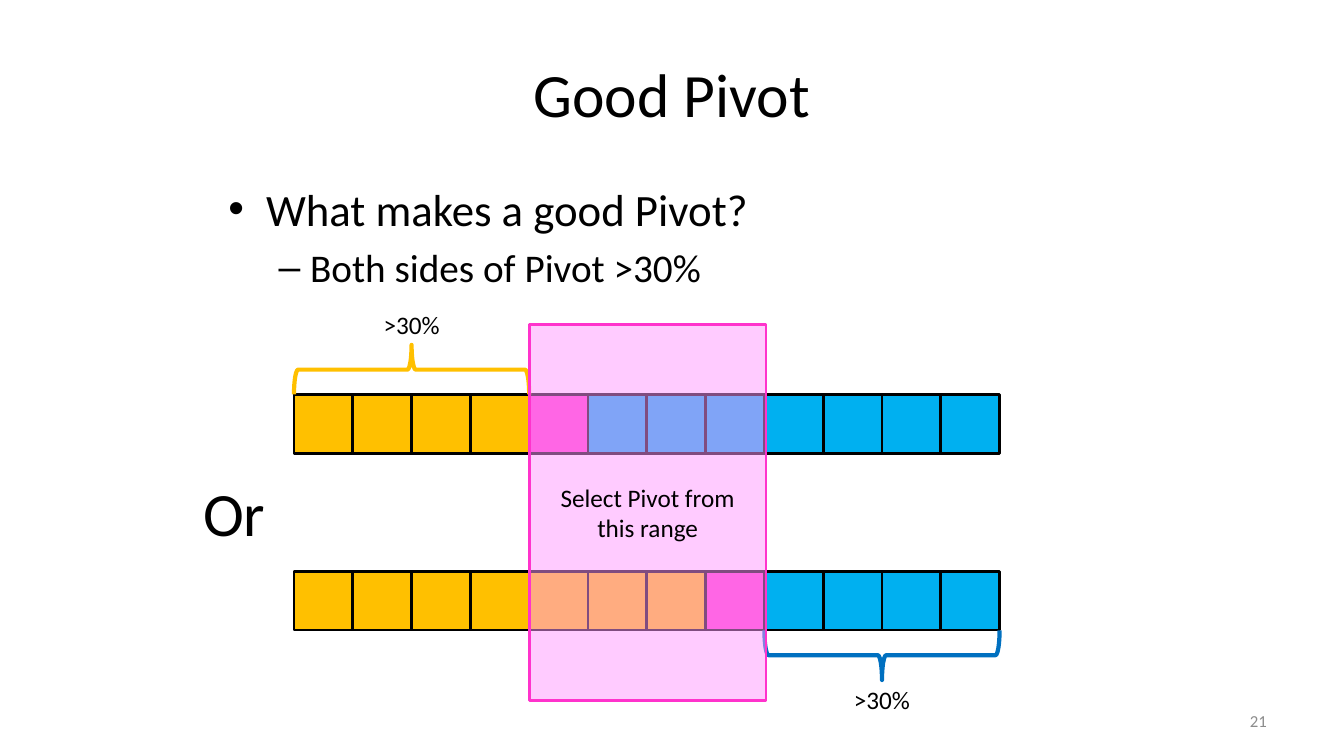
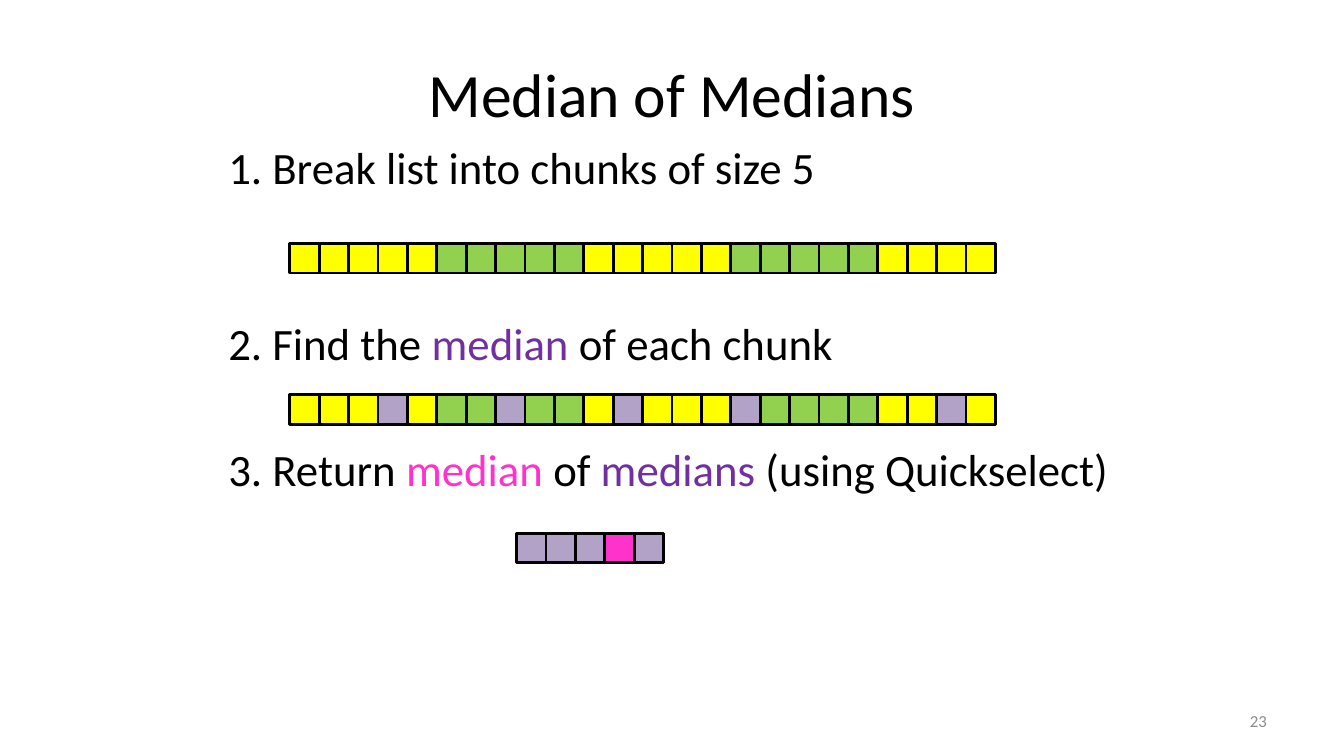
import pptx
import pptx.dml.color
import pptx.enum.shapes
import pptx.enum.text
import pptx.oxml
import pptx.oxml.ns
import pptx.util

SHAPE = pptx.enum.shapes.MSO_SHAPE
ALIGN = pptx.enum.text.PP_ALIGN
ANCHOR = pptx.enum.text.MSO_ANCHOR
COLUMNS, ROWS = 160, 90
UNIT = pptx.util.Inches(1) / 12

COLORS = {
    "black": "000000",
    "gray": "8C8C8C",
    "orange": "FFC000",
    "sky": "00B0F0",
    "blue": "0070C0",
    "pink": "FF33CC",
    "pale pink": "FF99FF",
    "yellow": "FFFF00",
    "green": "92D050",
    "lavender": "B3A2C7",
    "purple": "7030A0",
}


def grid(*lengths):
    return [round(length * UNIT) for length in lengths]


def rgb(name):
    return pptx.dml.color.RGBColor.from_string(COLORS[name])


def apply(target, formats):
    for name, value in formats.items():
        setattr(target, name, value)


class Lecture:
    """Holds the deck, its style and the current slide; lengths are grid units."""

    font_name = "Calibri"
    sizes = {"title": 44, "body": 32, "detail": 28, "label": 18, "footer": 12}
    outline = 2

    def __init__(self):
        self.deck = pptx.Presentation()
        width, height = grid(COLUMNS, ROWS)
        apply(self.deck, {"slide_width": width, "slide_height": height})

    def page(self, title, number):
        self.slide = self.deck.slides.add_slide(self.deck.slide_layouts[6])
        self.text((8, 3.6, 144, 15), title, "title", ALIGN.CENTER, ANCHOR.MIDDLE)
        self.text((114.7, 83.4, 37.3, 4.8), str(number), "footer",
                  ALIGN.RIGHT, ANCHOR.MIDDLE, color="gray")

    def add_spans(self, para, content, size, color="black"):
        """Fill a paragraph from a string or from (text, colour) pairs."""
        spans = [(content, color)] if isinstance(content, str) else content
        for words, span_color in spans:
            span = para.add_run()
            span.text = words
            apply(span.font, {"name": self.font_name,
                              "size": pptx.util.Pt(self.sizes[size])})
            span.font.color.rgb = rgb(span_color)

    def text(self, place, content, size, align=ALIGN.LEFT, anchor=ANCHOR.TOP,
             color="black", wrap=True):
        box = self.slide.shapes.add_textbox(*grid(*place))
        apply(box.text_frame, {"word_wrap": wrap, "vertical_anchor": anchor})
        para = box.text_frame.paragraphs[0]
        para.alignment = align
        self.add_spans(para, content, size, color)

    def bullets(self, place, items):
        """Add (text, size, mark, indent, hang) items as a bulleted list."""
        box = self.slide.shapes.add_textbox(*grid(*place))
        frame = box.text_frame
        frame.word_wrap = True
        for index, (content, size, mark, indent, hang) in enumerate(items):
            para = frame.add_paragraph() if index else frame.paragraphs[0]
            properties = para._p.get_or_add_pPr()
            left, back = grid(indent, hang)
            properties.set("marL", str(left))
            properties.set("indent", str(-back))
            for tag, name, value in (("buFont", "typeface", "Arial"),
                                     ("buChar", "char", mark)):
                element = pptx.oxml.parse_xml(
                    f'<a:{tag} {pptx.oxml.ns.nsdecls("a")} {name}="{value}"/>')
                properties.append(element)
            if index:
                para.space_before = pptx.util.Pt(self.sizes[size] * 0.2)
            self.add_spans(para, content, size)

    def outlined(self, shapes, kind, place, line, width, fill=None):
        shape = shapes.add_shape(kind, *grid(*place))
        shape.shadow.inherit = False
        if fill:
            shape.fill.solid()
            shape.fill.fore_color.rgb = rgb(fill)
        else:
            shape.fill.background()
        shape.line.color.rgb = rgb(line)
        shape.line.width = pptx.util.Pt(width)
        return shape

    def array(self, left, top, side, fills):
        """Draw a group of touching square cells, one for each fill."""
        group = self.slide.shapes.add_group_shape()
        for index, fill in enumerate(fills):
            self.outlined(group.shapes, SHAPE.RECTANGLE,
                          (left + index * side, top, side, side),
                          "black", self.outline, fill)

    def brace(self, center, middle, span, rotation, color):
        depth = 5.9
        shape = self.outlined(
            self.slide.shapes, SHAPE.RIGHT_BRACE,
            (center - depth / 2, middle - span / 2, depth, span), color, 3)
        shape.rotation = rotation

    def label(self, center, top, content):
        width = 9.1
        self.text((center - width / 2, top, width, 4.8), content, "label",
                  ALIGN.CENTER, wrap=False)

    def window(self, place, content, fill, line):
        """Draw a half-transparent rectangle with centred text."""
        shape = self.outlined(self.slide.shapes, SHAPE.RECTANGLE, place,
                              line, self.outline, fill)
        solid = shape.element.spPr.find(pptx.oxml.ns.qn("a:solidFill"))
        solid[0].append(pptx.oxml.parse_xml(
            f'<a:alpha {pptx.oxml.ns.nsdecls("a")} val="50000"/>'))
        apply(shape.text_frame, {"word_wrap": True,
                                 "vertical_anchor": ANCHOR.MIDDLE})
        para = shape.text_frame.paragraphs[0]
        para.alignment = ALIGN.CENTER
        self.add_spans(para, content, "label")


def good_pivot(lecture):
    lecture.page("Good Pivot", 21)
    lecture.bullets((26, 21, 108, 19), [
        ("What makes a good Pivot?", "body", "•", 4.5, 4.5),
        ("Both sides of Pivot >30%", "detail", "–", 9.75, 3.75),
    ])
    cell, left = 7, 35
    for top, smaller in ((47, 4), (68, 7)):
        fills = ["orange"] * smaller + ["pink"] + ["sky"] * (11 - smaller)
        lecture.array(left, top, cell, fills)
    lecture.text((23, 56, 10, 10.1), "Or", "title", wrap=False)
    span = 4 * cell
    for center, middle, rotation, color, label_top in (
            (49, 44, 270, "orange", 36.2), (105, 78, 90, "blue", 80.9)):
        lecture.brace(center, middle, span, rotation, color)
        lecture.label(center, label_top, ">30%")
    lecture.window((left + span, 38.6, 28.2, 44.8),
                   "Select Pivot from this range", "pale pink", "pink")


def median_of_medians(lecture):
    lecture.page("Median of Medians", 23)
    steps = [
        (16, "1. Break list into chunks of size 5"),
        (37, [("2. Find the ", "black"), ("median", "purple"),
              (" of each chunk", "black")]),
        (52, [("3. Return ", "black"), ("median", "pink"), (" of ", "black"),
              ("medians ", "purple"), ("(using Quickselect)", "black")]),
    ]
    for top, content in steps:
        lecture.text((26, top, 108, 10), content, "body")
    cell, left, chunk = 3.5, 34.5, 5
    chunks = [("yellow", "green")[index // chunk % 2] for index in range(24)]
    medians = (3, 7, 11, 15, 22)
    marked = ["lavender" if index in medians else fill
              for index, fill in enumerate(chunks)]
    lecture.array(left, 29, cell, chunks)
    lecture.array(left, 47, cell, marked)
    lecture.array(61.5, 63.5, cell, ["lavender"] * 3 + ["pink", "lavender"])


def main():
    lecture = Lecture()
    good_pivot(lecture)
    median_of_medians(lecture)
    lecture.deck.save("out.pptx")


if __name__ == "__main__":
    main()
